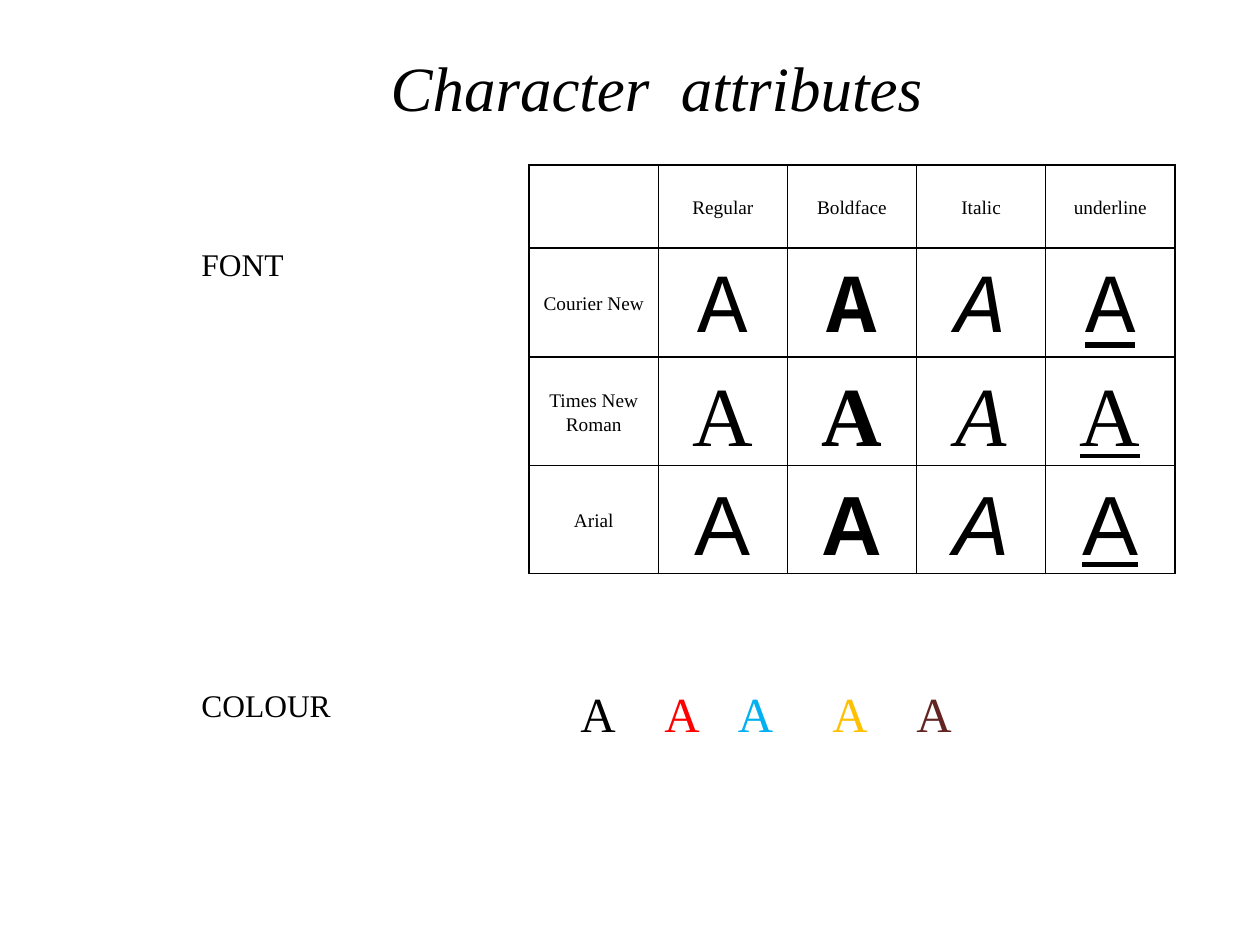
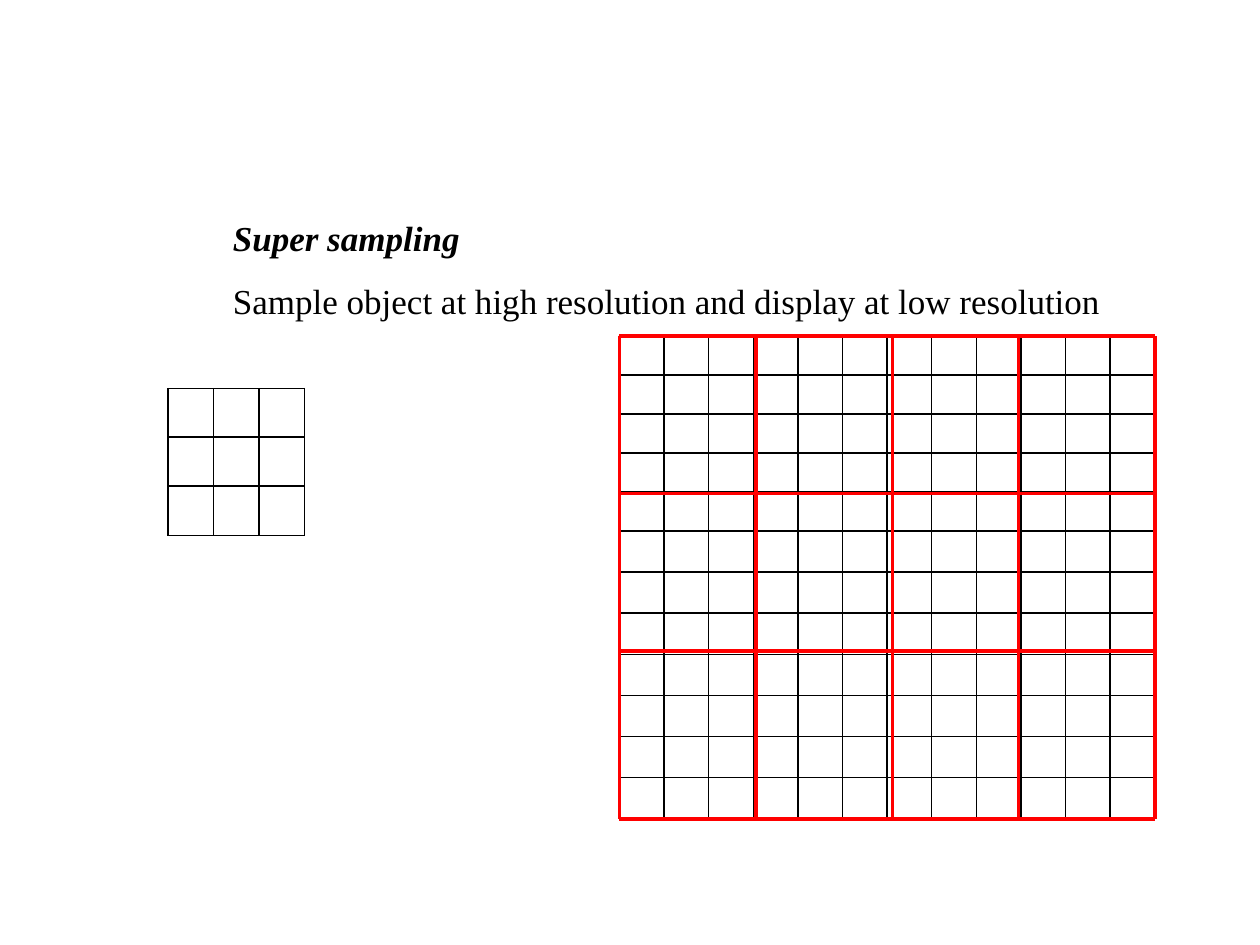
from lxml.etree import SubElement as Sub
from pptx import Presentation
from pptx.dml.color import RGBColor
from pptx.enum.shapes import MSO_CONNECTOR as Link
from pptx.enum.text import MSO_ANCHOR as Anchor, MSO_AUTO_SIZE as Fit, PP_ALIGN as Align
from pptx.oxml.ns import qn
from pptx.util import Inches, Pt

BLACK = RGBColor(0, 0, 0)
RED = RGBColor(255, 0, 0)
BLUE = RGBColor(0, 176, 240)
GOLD = RGBColor(255, 192, 0)
BROWN = RGBColor(99, 37, 35)

SERIF = "Times New Roman"
WIDE, HIGH = Inches(10), Inches(7.5)
COLS, ROWS = 120, 90
TITLE_ONLY, BLANK = 5, 6


def across(cols):
    return round(WIDE * cols / COLS)


def down(rows):
    return round(HIGH * rows / ROWS)


def place(left, top, width, height):
    return across(left), down(top), across(width), down(height)


class Deck:
    """Holds the shared style and the current slide; lengths are grid units."""

    def __init__(self):
        self.show = Presentation()
        self.show.slide_width, self.show.slide_height = WIDE, HIGH
        self.slide = None

    def page(self, layout):
        self.slide = self.show.slides.add_slide(self.show.slide_layouts[layout])

    def para(self, par, text, size, font=SERIF, color=BLACK, align=Align.LEFT,
             space=1.0, indent=0, bold=False, italic=False, under=False):
        par.alignment, par.line_spacing = align, space
        if indent:
            props = par._p.get_or_add_pPr()
            props.set("marL", str(across(indent)))
            props.set("indent", "0")
        run = par.add_run()
        run.text = text
        face = run.font
        face.name, face.size, face.color.rgb = font, Pt(size), color
        face.bold, face.italic, face.underline = bold, italic, under

    def title(self, text, box):
        head = self.slide.shapes.title
        head.left, head.top, head.width, head.height = place(*box)
        frame = head.text_frame
        frame.auto_size, frame.word_wrap = Fit.NONE, False
        frame.vertical_anchor = Anchor.TOP
        self.para(frame.paragraphs[0], text, 36, indent=6, italic=True)

    def text(self, box, *paras, wrap=True):
        """Add a text box; each paragraph is a pair of text and style."""
        frame = self.slide.shapes.add_textbox(*place(*box)).text_frame
        frame.word_wrap = wrap
        for i, (text, style) in enumerate(paras):
            par = frame.add_paragraph() if i else frame.paragraphs[0]
            self.para(par, text, **style)

    def table(self, left, top, widths, heights):
        """Add an empty ruled table and return it."""
        box = place(left, top, sum(widths), sum(heights))
        grid = self.slide.shapes.add_table(len(heights), len(widths), *box).table
        grid.first_row = grid.horz_banding = False
        for col, width in zip(grid.columns, widths):
            col.width = across(width)
        for row, height in zip(grid.rows, heights):
            row.height = down(height)
        for cell in grid.iter_cells():
            self.rule(cell)
        return grid

    def rule(self, cell):
        """Give a cell black borders, no fill and tight margins."""
        cell.margin_left = cell.margin_right = Inches(0.07)
        cell.margin_top = cell.margin_bottom = 0
        cell.vertical_anchor = Anchor.MIDDLE
        props = cell._tc.get_or_add_tcPr()
        for side in ("a:lnL", "a:lnR", "a:lnT", "a:lnB"):
            fill = Sub(Sub(props, qn(side), w=str(Pt(1))), qn("a:solidFill"))
            Sub(fill, qn("a:srgbClr"), val=str(BLACK))
        cell.fill.background()
        # A small end mark keeps empty rows from growing
        Sub(cell.text_frame.paragraphs[0]._p, qn("a:endParaRPr"), sz="800")

    def cell(self, grid, row, col, text, size, **style):
        par = grid.cell(row, col).text_frame.paragraphs[0]
        self.para(par, text, size, align=Align.CENTER, space=1.15, **style)

    def line(self, x1, y1, x2, y2):
        link = self.slide.shapes.add_connector(
            Link.STRAIGHT, across(x1), down(y1), across(x2), down(y2))
        link.line.color.rgb, link.line.width = RED, Pt(2)
        Sub(link._element.spPr, qn("a:effectLst"))


def attributes(deck):
    deck.page(TITLE_ONLY)
    deck.title("Character  attributes", (30, 4, 59.6, 8.5))
    looks = {"Regular": {}, "Boldface": {"bold": True},
             "Italic": {"italic": True}, "underline": {"under": True}}
    fonts = ("Courier New", SERIF, "Arial")
    grid = deck.table(50.4, 15.7, [12.3] * 5, [7.9] + [10.3] * 3)
    for col, name in enumerate(looks, 1):
        deck.cell(grid, 0, col, name, 11)
    for row, font in enumerate(fonts, 1):
        deck.cell(grid, row, 0, font, 11)
        for col, look in enumerate(looks.values(), 1):
            deck.cell(grid, row, col, "A", 48, font=font, **look)

    for label, top, width in (("FONT", 22.7, 11), ("COLOUR", 64.7, 17)):
        deck.text((18, top, width, 4.8), (label, {"size": 18}))
    for left, color in zip((54, 62, 69, 78, 86), (BLACK, RED, BLUE, GOLD, BROWN)):
        style = {"size": 28, "color": color, "align": Align.CENTER, "space": 1.15}
        deck.text((left, 63.7, 5.9, 7.3), ("A", style), wrap=False)


def sampling(deck):
    deck.page(BLANK)
    left, top, right, base = 59, 32, 110, 78
    deck.table(left, top, [(right - left) / 12] * 12, [3.72] * 5 + [3.91] * 7)
    deck.table(16, 37, [13 / 3] * 3, [4.6, 4.7, 4.7])
    for x in (left, 72, 85, 97, right):
        deck.line(x, top, x, base)
    for y in (top, 47, 62, base):
        deck.line(left, y, right, y)
    style = {"size": 20, "space": 1.5, "indent": 6}
    deck.text((15, 18, 101, 12.6),
              ("Super sampling", style | {"bold": True, "italic": True}),
              ("Sample object at high resolution and display at low resolution", style))


def main():
    deck = Deck()
    attributes(deck)
    sampling(deck)
    deck.show.save("out.pptx")


if __name__ == "__main__":
    main()
